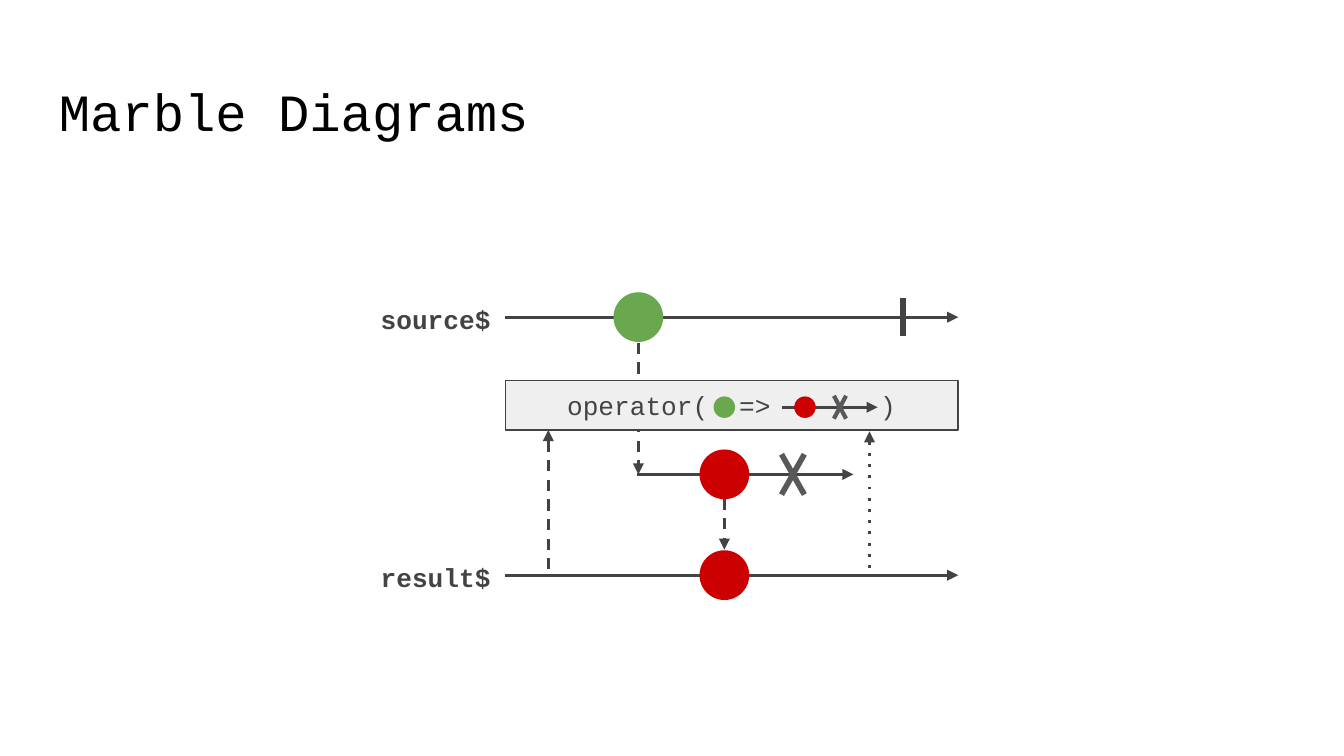
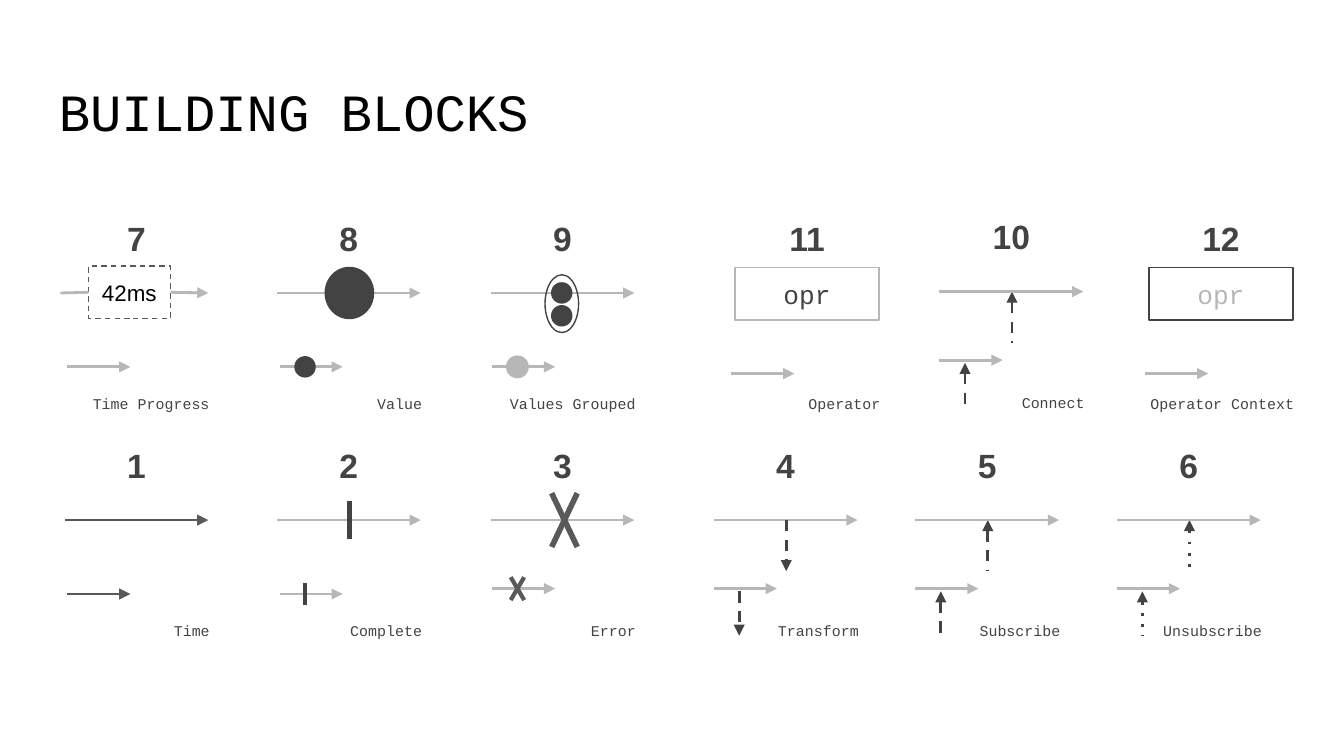
from lxml.etree import SubElement
from pptx import Presentation
from pptx.dml.color import RGBColor
from pptx.enum.shapes import MSO_CONNECTOR, MSO_SHAPE
from pptx.enum.text import MSO_ANCHOR as ANCHOR, PP_ALIGN as ALIGN
from pptx.oxml.ns import qn
from pptx.util import Inches, Pt

BLACK = RGBColor(0x00, 0x00, 0x00)
WHITE = RGBColor(0xFF, 0xFF, 0xFF)
DARK = RGBColor(0x43, 0x43, 0x43)
MID = RGBColor(0x59, 0x59, 0x59)
LIGHT = RGBColor(0xB7, 0xB7, 0xB7)
PALE = RGBColor(0xEF, 0xEF, 0xEF)
GREEN = RGBColor(0x6A, 0xA8, 0x4F)
RED = RGBColor(0xCC, 0x00, 0x00)
MONO = "Courier New"
SANS = "Arial"
DOT = 0.16
MARBLE = 0.37
LONG = 1.07
SHORT = 0.47
ROW_7_12 = 1.52
ROW_1_6 = 3.21


def write(sp, text, size=14, font=MONO, color=DARK, bold=False, align=ALIGN.LEFT,
          anchor=ANCHOR.TOP, wrap=True, spacing=None, left=0.1, tabs=()):
    tf = sp.text_frame
    tf.word_wrap = wrap
    tf.vertical_anchor = anchor
    tf.margin_left = Inches(left)
    tf.margin_right = tf.margin_top = tf.margin_bottom = Inches(0.1)
    p = tf.paragraphs[0]
    p.alignment = align
    if spacing:
        p.line_spacing = spacing
    if tabs:
        stops = SubElement(p._p.get_or_add_pPr(), qn("a:tabLst"))
        for pos in tabs:
            SubElement(stops, qn("a:tab"), pos=str(Inches(pos)), algn="l")
    r = p.add_run()
    r.text = text
    r.font.name = font
    r.font.size = Pt(size)
    r.font.bold = bold
    r.font.color.rgb = color


def add_text(shapes, x, y, w, h, text, **fmt):
    write(shapes.add_textbox(Inches(x), Inches(y), Inches(w), Inches(h)), text, **fmt)


def add_title(shapes, text, w):
    add_text(shapes, 0.34, 0.49, w, 0.63, text, size=28, color=BLACK)


def add_shape(shapes, kind, x, y, w, h, fill=None, line=None, dash=None):
    sp = shapes.add_shape(kind, Inches(x), Inches(y), Inches(w), Inches(h))
    sp.shadow.inherit = False
    if fill is None:
        sp.fill.background()
    else:
        sp.fill.solid()
        sp.fill.fore_color.rgb = fill
    if line is None:
        sp.line.fill.background()
    else:
        sp.line.color.rgb = line
        sp.line.width = Pt(0.75)
    if dash:
        SubElement(sp._element.spPr.find(qn("a:ln")), qn("a:prstDash"), val=dash)
    return sp


def add_box(shapes, x, y, w, h, text, fill=None, line=DARK, dash=None, **fmt):
    sp = add_shape(shapes, MSO_SHAPE.RECTANGLE, x, y, w, h, fill, line, dash)
    write(sp, text, anchor=ANCHOR.MIDDLE, **fmt)
    return sp


def add_marble(shapes, cx, cy, color, w=MARBLE, h=None, line=None):
    h = h or w
    add_shape(shapes, MSO_SHAPE.OVAL, cx - w / 2, cy - h / 2, w, h, color, line)


def add_line(shapes, x1, y1, x2, y2, color=DARK, width=1.5, dash=None,
             head=False, tail=False):
    cx = shapes.add_connector(MSO_CONNECTOR.STRAIGHT, Inches(x1), Inches(y1),
                              Inches(x2), Inches(y2))
    cx.line.color.rgb = color
    cx.line.width = Pt(width)
    spPr = cx._element.spPr
    ln = spPr.find(qn("a:ln"))
    if dash:
        SubElement(ln, qn("a:prstDash"), val=dash)
    if head:
        SubElement(ln, qn("a:headEnd"), type="triangle")
    if tail:
        SubElement(ln, qn("a:tailEnd"), type="triangle")
    SubElement(spPr, qn("a:effectLst"))
    return cx


def add_timeline(shapes, x, y, length, color=DARK):
    add_line(shapes, x, y, x + length, y, color, tail=True)


def add_signal(shapes, x, y, length, dash="dash", up=False):
    add_line(shapes, x, y, x, y + length, dash=dash, head=up, tail=not up)


def add_tick(shapes, x, cy, height, width=3):
    add_line(shapes, x, cy - height / 2, x, cy + height / 2, width=width)


def add_cross(shapes, cx, cy, w, h, width=3):
    group = shapes.add_group_shape().shapes
    for dx in (w / 2, -w / 2):
        add_line(group, cx + dx, cy - h / 2, cx - dx, cy + h / 2, MID, width)


def marble_diagram(shapes):
    add_title(shapes, "Marble Diagrams", 9.32)
    add_signal(shapes, 4.08, 3.2, 1.08, up=True)
    add_signal(shapes, 4.75, 2.55, 0.98)
    add_timeline(shapes, 3.76, 2.36, 3.37)
    add_timeline(shapes, 4.74, 3.53, 1.61)
    add_marble(shapes, 5.39, 3.53, RED)
    add_box(shapes, 3.76, 2.83, 3.37, 0.37, "operator(\t=>\t)", fill=PALE,
            left=0.46, tabs=(1.28, 2.33))
    mapping = shapes.add_group_shape().shapes
    add_timeline(mapping, 5.82, 3.03, 0.71)
    add_marble(mapping, 5.39, 3.03, GREEN, DOT)
    add_marble(mapping, 5.99, 3.03, RED, DOT)
    add_tick(shapes, 6.72, 2.36, 0.28)
    add_cross(shapes, 6.25, 3.03, 0.09, 0.17, 2.25)
    add_cross(shapes, 5.9, 3.53, 0.17, 0.3)
    add_timeline(shapes, 3.76, 4.28, 3.37)
    add_marble(shapes, 5.39, 4.28, RED)
    add_signal(shapes, 5.39, 3.71, 0.38)
    add_marble(shapes, 4.75, 2.36, GREEN)
    add_signal(shapes, 6.47, 3.21, 1.07, dash="dot", up=True)
    for y, name in ((2.11, "source$"), (4.03, "result$")):
        add_text(shapes, 2.65, y, 1.1, 0.5, name, bold=True, align=ALIGN.RIGHT,
                 anchor=ANCHOR.MIDDLE, spacing=1.15)


def add_block(shapes, number, label, x, y, dx=0.02, dy=1.21, color=LIGHT, full=True):
    add_text(shapes, x, y, LONG, LONG, number, size=18, font=SANS, bold=True,
             align=ALIGN.CENTER)
    add_text(shapes, x - 0.12, y + 1.35, 1.3, 0.37, label, size=8, align=ALIGN.RIGHT)
    if full:
        add_timeline(shapes, x, y + 0.66, LONG, color)
    add_timeline(shapes, x + dx, y + dy, SHORT, color)


def add_signal_block(shapes, number, label, x, y, dash="dash", up=True):
    if not up:
        add_block(shapes, number, label, x, y, 0, 1.17)
    add_signal(shapes, x + 0.54, y + 0.66, 0.38, dash, up)
    add_signal(shapes, x + 0.19, y + 1.19, 0.33, dash, up)
    if up:
        add_block(shapes, number, label, x, y, 0, 1.17)


def add_operator_block(shapes, number, label, x, line, color):
    add_block(shapes, number, label, x, ROW_7_12, -0.03, 1.26, full=False)
    add_box(shapes, x, 1.99, LONG, 0.39, "opr", fill=WHITE, line=line, color=color,
            align=ALIGN.CENTER)


def add_progress_block(shapes, x):
    add_block(shapes, "7", "Time Progress", x, ROW_7_12, full=False)
    delay = add_box(shapes, 0.66, 1.98, 0.61, 0.39, "42ms", line=MID, dash="dash",
                    size=12, font=SANS, color=BLACK, wrap=False)
    before = add_line(shapes, 0.45, 2.18, 0.66, 2.18, LIGHT)
    before.end_connect(delay, 1)
    after = add_line(shapes, 1.27, 2.18, x + LONG, 2.18, LIGHT, tail=True)
    after.begin_connect(delay, 3)


def building_blocks(shapes):
    add_title(shapes, "BUILDING BLOCKS", 4.66)
    col1, col2, col3 = 0.48, 2.06, 3.65

    add_progress_block(shapes, col1)
    add_block(shapes, "8", "Value", col2, ROW_7_12)
    add_marble(shapes, 2.27, 2.73, DARK, DOT)
    add_marble(shapes, 2.6, 2.18, DARK, MARBLE, 0.39)
    add_block(shapes, "9", "Values Grouped", col3, ROW_7_12, 0.01)
    add_marble(shapes, 3.85, 2.73, LIGHT, DOT, line=LIGHT)
    add_marble(shapes, 4.18, 2.26, None, 0.25, 0.43, line=DARK)
    values = shapes.add_group_shape().shapes
    for cy in (2.35, 2.18):
        add_marble(values, 4.18, cy, DARK, DOT)
    add_operator_block(shapes, "11", "Operator", 5.47, LIGHT, DARK)
    add_signal_block(shapes, "10", "Connect", 6.99, ROW_7_12 - 0.01)
    add_operator_block(shapes, "12", "Operator Context", 8.55, DARK, LIGHT)

    add_block(shapes, "1", "Time", col1, ROW_1_6, color=MID)
    add_block(shapes, "2", "Complete", col2, ROW_1_6)
    add_tick(shapes, 2.6, 3.87, 0.28)
    add_tick(shapes, 2.27, 4.42, 0.16, 2.25)
    add_block(shapes, "3", "Error", col3, ROW_1_6, 0.01, 1.17)
    add_cross(shapes, 4.2, 3.87, 0.19, 0.4)
    add_cross(shapes, 3.85, 4.38, 0.1, 0.17, 2.25)
    add_signal_block(shapes, "4", "Transform", 5.31, ROW_1_6, up=False)
    add_signal_block(shapes, "5", "Subscribe", 6.81, ROW_1_6)
    add_signal_block(shapes, "6", "Unsubscribe", 8.31, ROW_1_6, dash="dot")


def main():
    prs = Presentation()
    prs.slide_width = Inches(10)
    prs.slide_height = Inches(10) * 9 // 16
    for build in (marble_diagram, building_blocks):
        build(prs.slides.add_slide(prs.slide_layouts[6]).shapes)
    prs.save("out.pptx")


if __name__ == "__main__":
    main()
